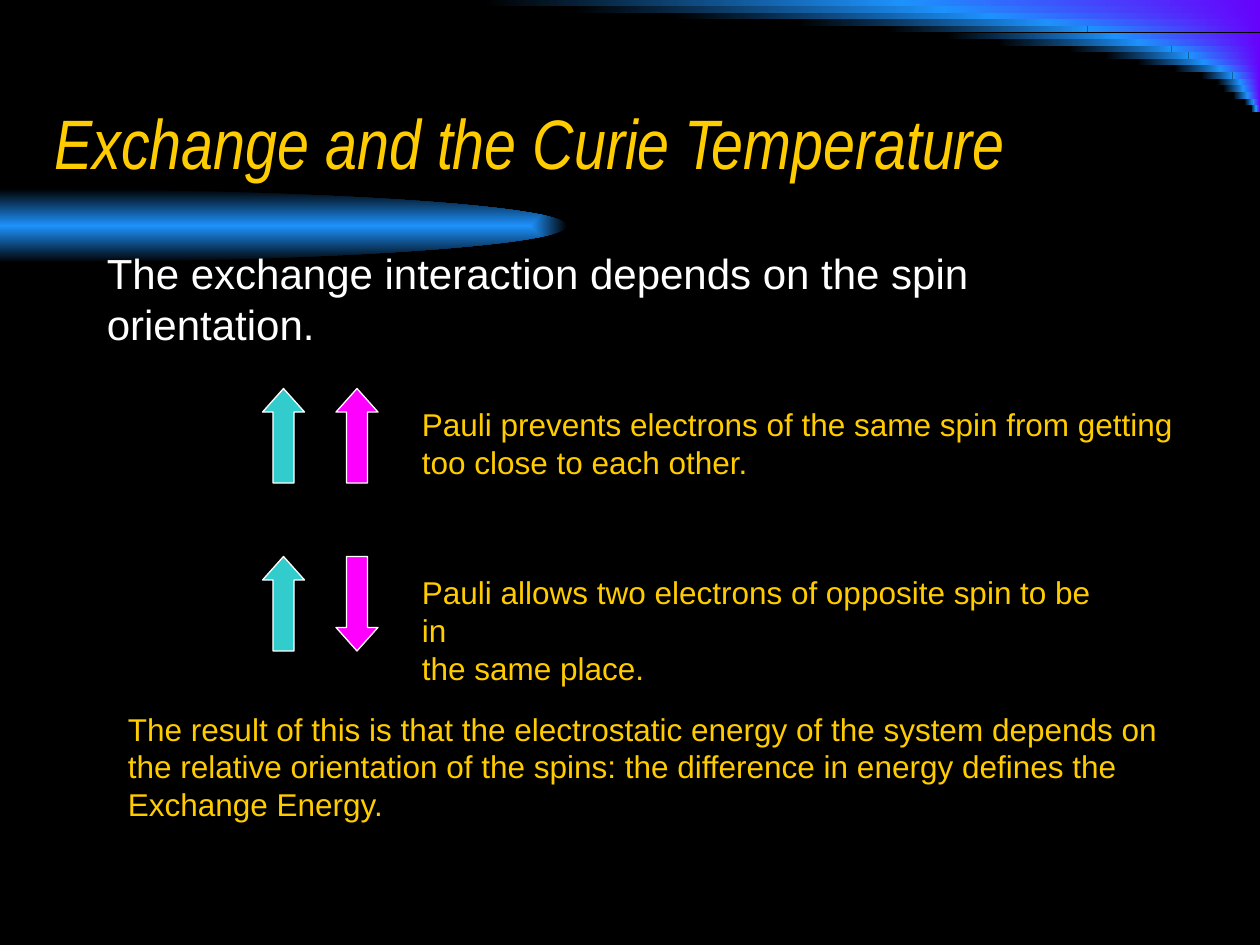
from lxml import etree
from pptx import Presentation
from pptx.dml.color import RGBColor
from pptx.enum.shapes import MSO_SHAPE
from pptx.enum.text import MSO_ANCHOR, MSO_AUTO_SIZE
from pptx.oxml.ns import qn
from pptx.util import Emu, Pt

RECT, OVAL = MSO_SHAPE.RECTANGLE, MSO_SHAPE.OVAL
UP, DOWN = MSO_SHAPE.UP_ARROW, MSO_SHAPE.DOWN_ARROW
TOP, MIDDLE = MSO_ANCHOR.TOP, MSO_ANCHOR.MIDDLE
FIT = MSO_AUTO_SIZE.SHAPE_TO_FIT_TEXT
PX = 7620
COLORS = {
    "black": "000000", "white": "FFFFFF", "gold": "FFCC00", "blue": "1D92FD",
    "violet": "6702FC", "teal": "33CCCC", "magenta": "FF00FF",
}
VIOLET_WIDTHS = [341, 302, 257, 203, 164, 138, 115, 84, 68, 54, 38, 26, 19, 16, 12, 7, 4]
FADE_RATIO = 1.17


def rgb(name):
    return RGBColor.from_string(COLORS[name])


def px(*lengths):
    return [Emu(n * PX) for n in lengths]


def add_shape(s, kind, box):
    sp = s.shapes.add_shape(kind, *px(*box))
    sp.shadow.inherit = False
    return sp


def add_gradient(s, kind, box, start, end):
    sp = add_shape(s, kind, box)
    sp.line.fill.background()
    sp.fill.gradient()
    sp.fill.gradient_angle = 180
    for stop, name in zip(sp.fill.gradient_stops, (start, end)):
        stop.color.rgb = rgb(name)
    return sp


def add_text(s, box, lines, size, color="gold", font="Arial", italic=False,
             anchor=TOP, wrap=True, fit=False):
    tf = s.shapes.add_textbox(*px(*box)).text_frame
    tf.word_wrap = wrap
    tf.vertical_anchor = anchor
    if fit:
        tf.auto_size = FIT
    tf.text = "\n".join(lines)
    for p in tf.paragraphs:
        p.font.name = font
        p.font.size = Pt(size)
        p.font.italic = italic
        p.font.color.rgb = rgb(color)


def add_corner_sweep(s, box):
    left, top, width, height = box
    rows = len(VIOLET_WIDTHS)
    for i, violet in enumerate(VIOLET_WIDTHS):
        y = top + height * i // rows
        h = top + height * (i + 1) // rows - y
        fade = round(violet * FADE_RATIO)
        split = left + width - violet
        add_gradient(s, RECT, (split, y, violet, h), "violet", "blue")
        add_gradient(s, RECT, (split - fade, y, fade, h), "blue", "black")


def add_title_glow(s, box):
    sp = add_gradient(s, OVAL, box, "blue", "black")
    lin = sp.fill._xPr.find(".//" + qn("a:lin"))
    glow = etree.Element(qn("a:path"), {"path": "rect"})
    etree.SubElement(glow, qn("a:fillToRect"), dict.fromkeys("ltrb", "50000"))
    lin.getparent().replace(lin, glow)


def add_spin_pair(s, box, second, lines):
    left, top, width, height = box
    for x, kind, color in ((0, UP, "teal"), (70, second, "magenta")):
        sp = add_shape(s, kind, (left + x, top, 40, height))
        sp.adjustments[0] = 0.5
        sp.adjustments[1] = 0.56
        sp.fill.solid()
        sp.fill.fore_color.rgb = rgb(color)
        sp.line.color.rgb = rgb("white")
        sp.line.width = Pt(0.75)
    add_text(s, (left + 140, top + 10, width - 140, 84), lines, 18, wrap=False, fit=True)


def main():
    prs = Presentation()
    prs.slide_width, prs.slide_height = px(1200, 900)
    s = prs.slides.add_slide(prs.slide_layouts[6])
    s.background.fill.solid()
    s.background.fill.fore_color.rgb = rgb("black")

    add_corner_sweep(s, (460, 0, 740, 107))
    add_title_glow(s, (-540, 180, 1080, 70))
    add_text(s, (40, 60, 1020, 150), ["Exchange and the Curie Temperature"], 40,
             font="Arial Narrow", italic=True, anchor=MIDDLE)
    add_text(s, (90, 230, 1020, 120),
             ["The exchange interaction depends on the spin orientation."], 24, "white")
    add_spin_pair(s, (250, 370, 879, 90), UP,
                  ["Pauli prevents electrons of the same spin from getting",
                   "too close to each other."])
    add_spin_pair(s, (250, 530, 832, 90), DOWN,
                  ["Pauli allows two electrons of opposite spin to be in",
                   "the same place."])
    add_text(s, (110, 670, 1020, 120),
             ["The result of this is that the electrostatic energy of the system depends on "
              "the relative orientation of the spins: the difference in energy defines the "
              "Exchange Energy."], 18, fit=True)
    prs.save("out.pptx")


if __name__ == "__main__":
    main()
